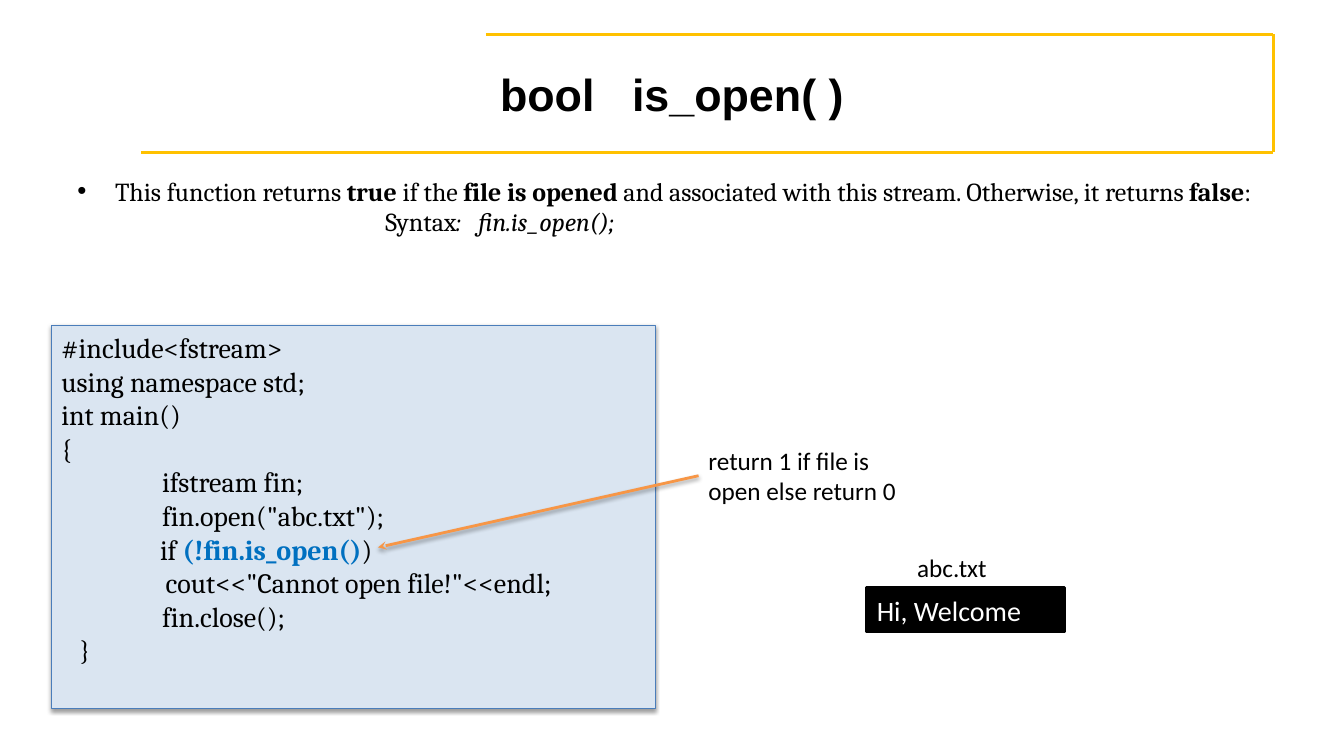
from dataclasses import dataclass

import pptx
import pptx.dml.color
import pptx.enum.dml
import pptx.enum.shapes
import pptx.enum.text
import pptx.oxml
import pptx.oxml.ns
import pptx.util

Pt = pptx.util.Pt
RGB = pptx.dml.color.RGBColor
ALIGN = pptx.enum.text.PP_ALIGN
ANCHOR = pptx.enum.text.MSO_ANCHOR

BLACK = RGB(0x00, 0x00, 0x00)
WHITE = RGB(0xFF, 0xFF, 0xFF)
GOLD = RGB(0xFF, 0xC1, 0x00)
PALE = RGB(0xDA, 0xE5, 0xF1)
STEEL = RGB(0x4A, 0x7D, 0xBA)
BLUE = RGB(0x00, 0x70, 0xC0)
ORANGE = RGB(0xF7, 0x96, 0x46)


@dataclass(frozen=True)
class Run:
    text: str
    bold: bool = False
    slant: bool = False
    color: RGB | None = None
    space: float = 0


@dataclass(frozen=True)
class Line:
    runs: tuple[Run, ...]
    left: float = 0
    hang: float = 0
    bullet: bool = False


@dataclass(frozen=True)
class Box:
    left: float
    top: float
    width: float
    height: float


@dataclass(frozen=True)
class Stroke:
    start: tuple[float, float]
    end: tuple[float, float]
    color: RGB = GOLD
    arrow: bool = False


def plain(text: str, left: float = 0) -> Line:
    return Line((Run(text),), left)


TITLE = [Line((Run("bool", bold=True), Run(" ", space=17.8),
               Run("is_open( )", bold=True)))]
NOTES = [
    Line((Run("This function returns "), Run("true", bold=True),
          Run(" if the "), Run("file is opened", bold=True),
          Run(" and associated with this stream. Otherwise, it returns "),
          Run("false", bold=True), Run(":")), left=27, hang=27, bullet=True),
    Line((Run("Syntax"), Run(":", slant=True), Run(" ", space=8.2),
          Run("fin.is_open();", slant=True)), left=220),
]
CODE = [
    plain("#include<fstream>"),
    plain("using namespace std;"),
    plain("int main()"),
    plain("{"),
    plain("ifstream fin;", 72),
    plain('fin.open("abc.txt");', 72),
    Line((Run("if "), Run("(!fin.is_open()", bold=True, color=BLUE),
          Run(")")), left=70.5),
    plain('cout<<"Cannot open file!"<<endl;', 74.5),
    plain("fin.close();", 72),
    plain("}", 13),
]
FRAME = [(347, 24.5), (909.4, 24.5), (909.4, 108.7), (100.8, 108.7)]


def node(xml: str):
    return pptx.oxml.parse_xml(
        xml.replace(" ", f' {pptx.oxml.ns.nsdecls("a")} ', 1))


def shade(shape, shown: bool = True) -> None:
    """Give a shape a soft drop shadow, or an empty effect list."""
    inner = ('<a:outerShdw blurRad="39400" dist="20300" dir="5400000" '
             'rotWithShape="0"><a:srgbClr val="000000">'
             '<a:alpha val="38000"/></a:srgbClr></a:outerShdw>')
    props = shape.element.spPr
    for old in props.findall(pptx.oxml.ns.qn("a:effectLst")):
        props.remove(old)
    props.append(node(f'<a:effectLst >{inner if shown else ""}</a:effectLst>'))


def write(shape, lines: list[Line], *, font: str, size: float,
          color: RGB = BLACK, align: ALIGN = ALIGN.LEFT,
          anchor: ANCHOR = ANCHOR.TOP, pitch: float = 1,
          before: float = 0) -> None:
    frame = shape.text_frame
    frame.word_wrap = True
    frame.auto_size = pptx.enum.text.MSO_AUTO_SIZE.NONE
    frame.vertical_anchor = anchor
    frame.margin_left = frame.margin_right = Pt(7.2)
    frame.margin_top = frame.margin_bottom = Pt(3.6)
    for i, line in enumerate(lines):
        para = frame.add_paragraph() if i else frame.paragraphs[0]
        para.alignment = align
        para.line_spacing = pitch
        para.space_before = Pt(before if i else 0)
        props = para._p.get_or_add_pPr()
        props.set("marL", str(Pt(line.left)))
        props.set("indent", str(-Pt(line.hang)))
        if line.bullet:
            props.append(node(f'<a:buClr ><a:srgbClr val="{color}"/></a:buClr>'))
            props.append(node('<a:buFont typeface="Arial"/>'))
            props.append(node('<a:buChar char="•"/>'))
        else:
            props.append(node("<a:buNone />"))
        for part in line.runs:
            run = para.add_run()
            run.text = part.text
            run.font.name = font
            run.font.size = Pt(size)
            run.font.bold = part.bold
            run.font.italic = part.slant
            run.font.color.rgb = part.color or color
            if part.space:
                run._r.get_or_add_rPr().set("spc", str(round(part.space * 100)))


def place(shape, box: Box):
    shape.left, shape.top = Pt(box.left), Pt(box.top)
    shape.width, shape.height = Pt(box.width), Pt(box.height)
    return shape


def panel(slide, box: Box, fill: RGB, edge: RGB, width: float):
    shape = place(slide.shapes.add_shape(
        pptx.enum.shapes.MSO_SHAPE.RECTANGLE, 0, 0, 0, 0), box)
    shape.shadow.inherit = False
    shape.fill.solid()
    shape.fill.fore_color.rgb = fill
    shape.line.color.rgb = edge
    shape.line.width = Pt(width)
    return shape


def label(slide, box: Box, text: str) -> None:
    shape = place(slide.shapes.add_textbox(0, 0, 0, 0), box)
    write(shape, [plain(text)], font="Calibri", size=18)


def draw(slide, stroke: Stroke) -> None:
    link = slide.shapes.add_connector(
        pptx.enum.shapes.MSO_CONNECTOR.STRAIGHT,
        *map(Pt, stroke.start + stroke.end))
    link.line.color.rgb = stroke.color
    link.line.width = Pt(2)
    shade(link, stroke.arrow)
    if stroke.arrow:
        edge = link.element.spPr.find(pptx.oxml.ns.qn("a:ln"))
        edge.append(node('<a:tailEnd type="stealth"/>'))


def main() -> None:
    deck = pptx.Presentation()
    deck.slide_width, deck.slide_height = Pt(960), Pt(540)
    slide = deck.slides.add_slide(deck.slide_layouts[1])

    for start, end in zip(FRAME, FRAME[1:]):
        draw(slide, Stroke(start, end))

    title = place(slide.shapes.title, Box(48, 21.6, 864, 90))
    write(title, TITLE, font="Arial", size=32, align=ALIGN.CENTER,
          anchor=ANCHOR.MIDDLE)
    body = place(slide.placeholders[1], Box(48, 126, 864, 93))
    write(body, NOTES, font="Cambria", size=18.5, pitch=0.8, before=3.7)

    code = panel(slide, Box(36.7, 232.5, 431.3, 273.6), PALE, STEEL, 0.75)
    shade(code)
    write(code, CODE, font="Cambria", size=20)

    file = panel(slide, Box(619.2, 419.8, 141.1, 31.7), BLACK, BLACK, 2)
    write(file, [plain("Hi, Welcome")], font="Calibri", size=20,
          color=WHITE, anchor=ANCHOR.MIDDLE)
    label(slide, Box(648, 391, 84.2, 28.8), "abc.txt")
    draw(slide, Stroke((499, 339.8), (270, 391), ORANGE, arrow=True))
    label(slide, Box(499, 314.6, 160.6, 51.1),
          "return 1 if file is open else return 0")
    deck.save("out.pptx")


if __name__ == "__main__":
    main()
